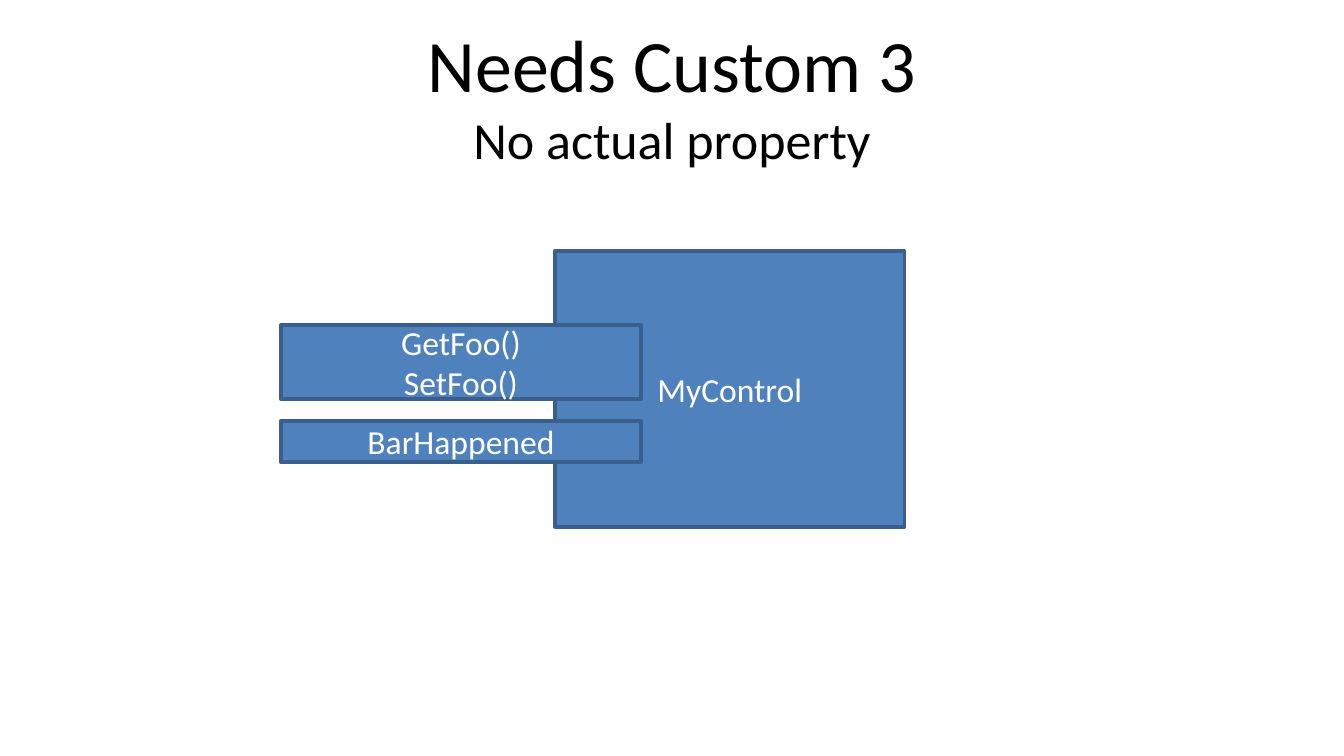
"""Build the "Needs Custom 3" slide: a control with its members as overlapping boxes."""
import pptx
import pptx.dml.color
import pptx.enum.shapes
import pptx.enum.text
import pptx.util

Inches = pptx.util.Inches
COLOURS = {"title": "000000", "fill": "4F81BD", "line": "3A5F8C", "label": "FFFFFF"}
FONT = "Calibri"


def colour(name):
    return pptx.dml.color.RGBColor.from_string(COLOURS[name])


def set_up_frame(frame):
    frame.word_wrap = True
    frame.auto_size = pptx.enum.text.MSO_AUTO_SIZE.NONE
    frame.vertical_anchor = pptx.enum.text.MSO_ANCHOR.MIDDLE


def format_paragraph(paragraph, size, colour_name):
    paragraph.alignment = pptx.enum.text.PP_ALIGN.CENTER
    paragraph.font.name = FONT
    paragraph.font.size = pptx.util.Pt(size)
    paragraph.font.color.rgb = colour(colour_name)


def set_title(page, heading, subheading):
    title = page.shapes.title
    title.left, title.top = Inches(0.5), Inches(0.23)
    title.width, title.height = Inches(9), Inches(0.94)
    set_up_frame(title.text_frame)
    paragraph = title.text_frame.paragraphs[0]
    format_paragraph(paragraph, 39.6, "title")
    paragraph.add_run().text = heading
    paragraph.add_line_break()
    span = paragraph.add_run()
    span.text = subheading
    span.font.size = pptx.util.Pt(27.9)


def add_box(shapes, left, top, width, height, label):
    box = shapes.add_shape(
        pptx.enum.shapes.MSO_SHAPE.RECTANGLE,
        Inches(left), Inches(top), Inches(width), Inches(height),
    )
    box.shadow.inherit = False
    box.fill.solid()
    box.fill.fore_color.rgb = colour("fill")
    box.line.color.rgb = colour("line")
    box.line.width = pptx.util.Pt(2)
    set_up_frame(box.text_frame)
    box.text_frame.text = label
    for paragraph in box.text_frame.paragraphs:
        format_paragraph(paragraph, 18, "label")


def main():
    deck = pptx.Presentation()
    deck.slide_width = Inches(10)
    deck.slide_height = deck.slide_width * 9 // 16
    page = deck.slides.add_slide(deck.slide_layouts[5])
    set_title(page, "Needs Custom 3", "No actual property")
    add_box(page.shapes, 4.13, 1.87, 2.6, 2.05, "MyControl")
    members = page.shapes.add_group_shape()
    add_box(members.shapes, 2.09, 2.42, 2.68, 0.55, "GetFoo()\nSetFoo()")
    add_box(members.shapes, 2.09, 3.13, 2.68, 0.31, "BarHappened")
    deck.save("out.pptx")


if __name__ == "__main__":
    main()
